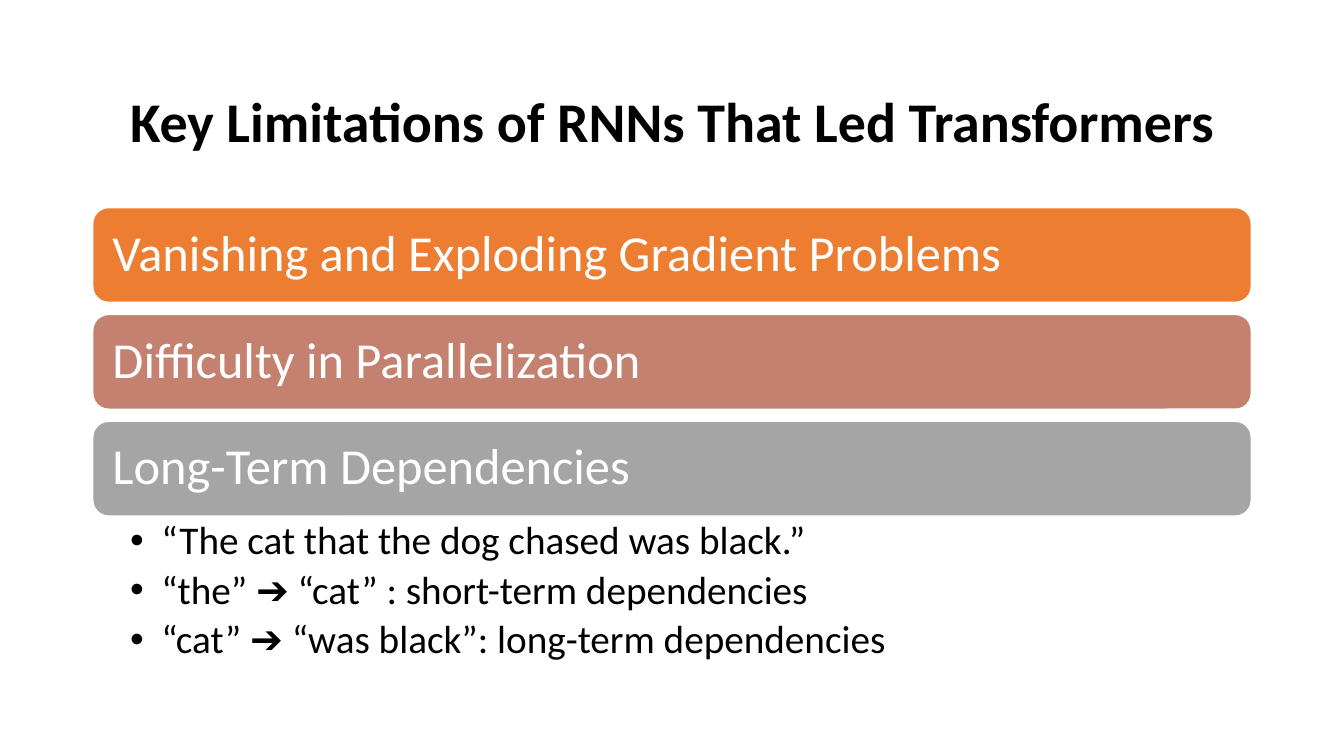
"""Build the slide on the limitations of RNNs."""
from lxml import etree
from pptx import Presentation
from pptx.dml.color import RGBColor
from pptx.enum.shapes import MSO_SHAPE
from pptx.enum.text import MSO_ANCHOR, PP_ALIGN
from pptx.oxml.ns import qn
from pptx.util import Inches, Pt

BLACK = RGBColor(0x00, 0x00, 0x00)
WHITE = RGBColor(0xFF, 0xFF, 0xFF)
ORANGE = RGBColor(0xED, 0x7D, 0x31)
ROSE = RGBColor(0xC4, 0x81, 0x70)
GRAY = RGBColor(0xA5, 0xA5, 0xA5)
ROUND = MSO_SHAPE.ROUNDED_RECTANGLE
MIDDLE, TOP = MSO_ANCHOR.MIDDLE, MSO_ANCHOR.TOP
LEFT, CENTER = PP_ALIGN.LEFT, PP_ALIGN.CENTER

TITLE = "Key Limitations of RNNs That Led Transformers"
BARS = [
    ("Vanishing and Exploding Gradient Problems", ORANGE),
    ("Difficulty in Parallelization", ROSE),
    ("Long-Term Dependencies", GRAY),
]
POINTS = [
    "“The cat that the dog chased was black.”",
    "“the” ➔ “cat” : short-term dependencies",
    "“cat” ➔ “was black”: long-term dependencies",
]

FONT = "Calibri"
WIDE, HIGH = 13.33, 7.5
EDGE = 0.92
SPAN = WIDE - 2 * EDGE
FIRST, BAR, GAP = 2.06, 0.94, 0.12
STEP = BAR + GAP
HANG = 0.31


def add_bullet(para):
    props = para._p.get_or_add_pPr()
    props.set("marL", str(Inches(HANG)))
    props.set("indent", str(-Inches(HANG)))
    etree.SubElement(props, qn("a:buFont")).set("typeface", "Arial")
    etree.SubElement(props, qn("a:buChar")).set("char", "•")


def write(shape, lines, size, color, pads, anchor=MIDDLE, align=LEFT,
          bold=False, bullet=False, after=0):
    frame = shape.text_frame
    frame.word_wrap = True
    frame.vertical_anchor = anchor
    frame.margin_left, frame.margin_right = Inches(pads[0]), Inches(pads[1])
    frame.margin_top = frame.margin_bottom = Inches(0.05)
    for num, line in enumerate(lines):
        para = frame.add_paragraph() if num else frame.paragraphs[0]
        if bullet:
            add_bullet(para)
        para.alignment = align
        para.line_spacing = 0.9
        para.space_after = Pt(after)
        run = para.add_run()
        run.text = line
        run.font.name = FONT
        run.font.size = Pt(size)
        run.font.bold = bold
        run.font.color.rgb = color


def place(top, height):
    return [Inches(part) for part in (EDGE, top, SPAN, height)]


def main():
    deck = Presentation()
    deck.slide_width, deck.slide_height = Inches(WIDE), Inches(HIGH)
    slide = deck.slides.add_slide(deck.slide_layouts[6])
    shapes = slide.shapes

    title = shapes.add_textbox(*place(0.61, 1.24))
    write(title, [TITLE], 40, BLACK, (0.1, 0.1), align=CENTER, bold=True)

    for row, (label, color) in enumerate(BARS):
        bar = shapes.add_shape(ROUND, *place(FIRST + row * STEP, BAR))
        bar.shadow.inherit = False
        bar.fill.solid()
        bar.fill.fore_color.rgb = color
        bar.line.color.rgb = WHITE
        bar.line.width = Pt(1)
        write(bar, [label], 36, WHITE, (0.15, 0.15))

    points = shapes.add_textbox(*place(FIRST + len(BARS) * STEP - GAP, 1.59))
    write(points, POINTS, 28, BLACK, (0.37, 0.28), anchor=TOP,
          bullet=True, after=5)
    deck.save("out.pptx")


if __name__ == "__main__":
    main()
